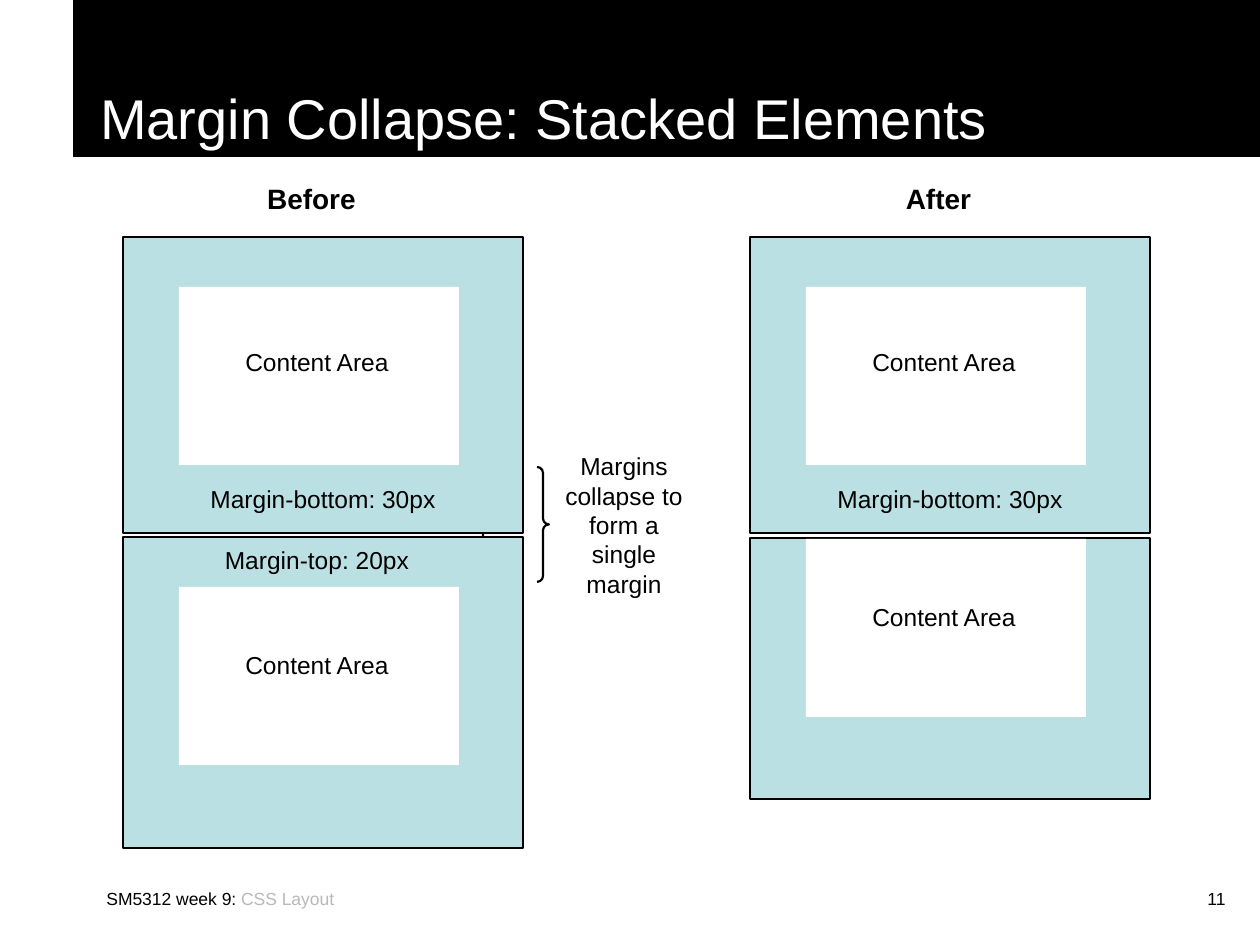
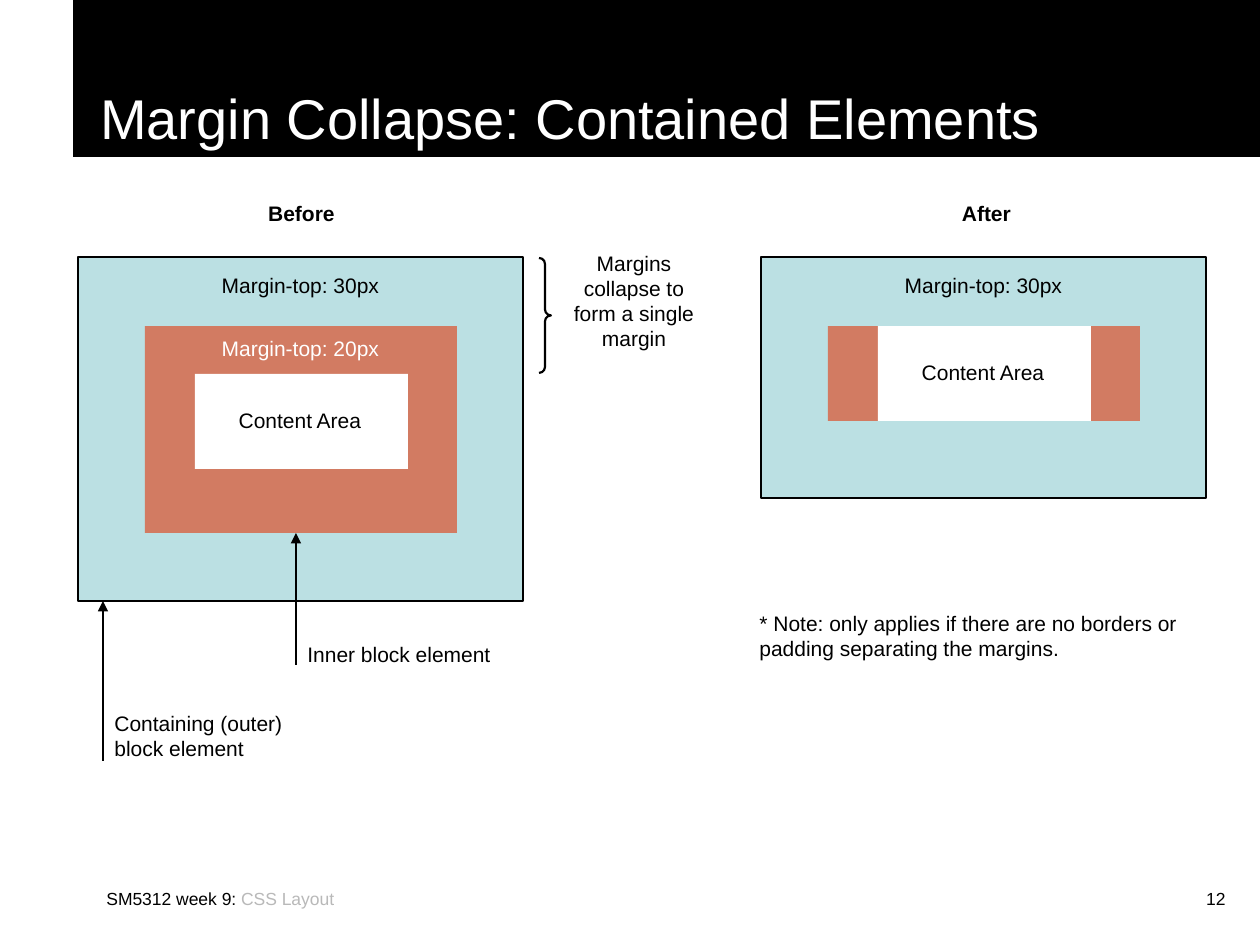
from dataclasses import dataclass

from lxml import etree
from pptx import Presentation
from pptx import util as u
from pptx.dml.color import RGBColor
from pptx.enum import shapes, text
from pptx.oxml import ns

EMU_PER_PX = 914400 / 126
TITLE_ONLY = 5


def px(length):
    return u.Emu(round(length * EMU_PER_PX))


@dataclass(frozen=True)
class Theme:
    font: str = "Arial"
    black: str = "000000"
    white: str = "FFFFFF"
    grey: str = "B9B9B9"
    outer: str = "BBE0E3"
    inner: str = "D27B62"
    title: int = 32
    heading: int = 16
    body: int = 14
    small: int = 12
    footer: int = 10
    outline: float = 1
    brace: float = 1.25
    arrow: float = 0.75


THEME = Theme()


@dataclass(frozen=True)
class Box:
    left: int
    top: int
    width: int
    height: int

    def at(self, left, top, width, height):
        """Box placed relative to this one's top left corner."""
        return Box(self.left + left, self.top + top, width, height)

    def emu(self):
        return [px(side) for side in (self.left, self.top, self.width, self.height)]


def colour(value):
    return RGBColor.from_string(value)


def write(frame, *spans, size=THEME.body, color=THEME.black, bold=False,
          align=text.PP_ALIGN.CENTER):
    """Fill a frame with one paragraph; a span is text or a (text, colour) pair."""
    frame.word_wrap = True
    frame.auto_size = text.MSO_AUTO_SIZE.NONE
    para = frame.paragraphs[0]
    para.alignment = align
    for part in spans:
        words, shade = part if isinstance(part, tuple) else (part, color)
        span = para.add_run()
        span.text = words
        span.font.name = THEME.font
        span.font.size = u.Pt(size)
        span.font.bold = bold
        span.font.color.rgb = colour(shade)


def add_text(page, box, *spans, **style):
    write(page.shapes.add_textbox(*box.emu()).text_frame, *spans, **style)


def add_block(page, box, fill, outlined=False):
    block = page.shapes.add_shape(shapes.MSO_SHAPE.RECTANGLE, *box.emu())
    block.shadow.inherit = False
    block.fill.solid()
    block.fill.fore_color.rgb = colour(fill)
    if outlined:
        block.line.color.rgb = colour(THEME.black)
        block.line.width = u.Pt(THEME.outline)
    else:
        block.line.fill.background()


def add_brace(page, box):
    """Brace pair whose left half is later hidden by the blocks beside it."""
    brace = page.shapes.add_shape(shapes.MSO_SHAPE.DOUBLE_BRACE, *box.emu())
    brace.adjustments[0] = 0.083
    brace.shadow.inherit = False
    brace.fill.background()
    brace.line.color.rgb = colour(THEME.black)
    brace.line.width = u.Pt(THEME.brace)


def add_pointer(page, x, tip, tail):
    """Vertical arrow with its head at the tip."""
    pointer = page.shapes.add_connector(
        shapes.MSO_CONNECTOR.STRAIGHT, px(x), px(tip), px(x), px(tail))
    pointer.line.color.rgb = colour(THEME.black)
    pointer.line.width = u.Pt(THEME.arrow)
    etree.SubElement(pointer.line._get_or_add_ln(), ns.qn("a:headEnd"), type="triangle")
    etree.SubElement(pointer._element.spPr, ns.qn("a:effectLst"))


def add_page(deck, title, number):
    page = deck.slides.add_slide(deck.slide_layouts[TITLE_ONLY])
    band = page.shapes.title
    band.left, band.top, band.width, band.height = Box(73, 0, 1187, 157).emu()
    band.fill.solid()
    band.fill.fore_color.rgb = colour(THEME.black)
    frame = band.text_frame
    frame.vertical_anchor = text.MSO_ANCHOR.BOTTOM
    frame.margin_left = px(27)
    write(frame, title, size=THEME.title, color=THEME.white, align=text.PP_ALIGN.LEFT)
    add_text(page, Box(94, 882, 400, 63), "SM5312 week 9: ", ("CSS Layout", THEME.grey),
             size=THEME.footer, align=text.PP_ALIGN.LEFT)
    add_text(page, Box(976, 882, 262, 63), str(number),
             size=THEME.footer, align=text.PP_ALIGN.RIGHT)
    return page


def add_collapse_note(page, box, size):
    add_text(page, box, "Margins collapse to form a single margin", size=size)


def add_stacked_element(page, box, content_top, label_top):
    add_block(page, box, THEME.outer, outlined=True)
    content = box.at(56, content_top, 280, 178)
    add_block(page, content, THEME.white)
    add_text(page, content.at(22, label_top, 232, 43), "Content Area")


def add_stack(page, box, heading, lower_top, lower_height, lower_content_top):
    """Heading over two stacked elements, the upper one with a bottom margin."""
    add_text(page, box.at(80, -62, 217, 47), heading, size=THEME.heading, bold=True)
    add_stacked_element(page, box.at(0, 0, box.width, 296), 50, 54)
    add_stacked_element(page, box.at(0, lower_top, box.width, lower_height),
                        lower_content_top, 57)
    add_text(page, box.at(0, 241, box.width, 43), "Margin-bottom: 30px")


def build_stacked(deck):
    page = add_page(deck, "Margin Collapse: Stacked Elements", 11)
    add_brace(page, Box(477, 467, 72, 115))
    before = Box(123, 237, 400, 611)
    add_stack(page, before, "Before", 300, 311, 50)
    add_text(page, before.at(-6, 302, 400, 43), "Margin-top: 20px")
    add_stack(page, Box(750, 237, 400, 563), "After", 301, 261, 1)
    add_collapse_note(page, Box(544, 445, 160, 160), THEME.body)


def add_container(page, box, inner_height, content_top):
    """Outer block holding an inner block that holds the content area."""
    add_block(page, box, THEME.outer, outlined=True)
    inner = box.at(67, 69, 312, inner_height)
    add_block(page, inner, THEME.inner)
    content = inner.at(50, content_top, 213, 95)
    add_block(page, content, THEME.white)
    add_text(page, content.at(-24, 27, 258, 38), "Content Area", size=THEME.small)
    add_text(page, box.at(0, 9, box.width, 38), "Margin-top: 30px", size=THEME.small)


def add_callout(page, x, tip, tail, label, label_top, label_height):
    add_pointer(page, x, tip, tail)
    add_text(page, Box(x - 1, label_top, 244, label_height), label,
             size=THEME.small, align=text.PP_ALIGN.LEFT)


def build_contained(deck):
    page = add_page(deck, "Margin Collapse: Contained Elements", 12)
    add_brace(page, Box(479, 258, 72, 115))
    before = Box(78, 257, 445, 344)
    after = Box(761, 257, 445, 241)
    add_container(page, before, inner_height=207, content_top=48)
    add_container(page, after, inner_height=95, content_top=0)
    for box, left, heading in ((before, 115, "Before"), (after, 117, "After")):
        add_text(page, box.at(left, -63, 217, 38), heading, size=THEME.small, bold=True)
    add_text(page, before.at(0, 72, before.width, 38), "Margin-top: 20px",
             size=THEME.small, color=THEME.white)
    add_collapse_note(page, Box(554, 244, 160, 113), THEME.small)
    add_callout(page, 103, 601, 761, "Containing (outer) block element", 704, 63)
    add_callout(page, 296, 533, 665, "Inner block element", 635, 38)
    add_text(page, after.at(-14, 347, 460, 63),
             "* Note: only applies if there are no borders or padding separating the margins.",
             size=THEME.small, align=text.PP_ALIGN.LEFT)


def main():
    deck = Presentation()
    deck.slide_width, deck.slide_height = px(1260), px(945)
    build_stacked(deck)
    build_contained(deck)
    deck.save("out.pptx")


if __name__ == "__main__":
    main()
